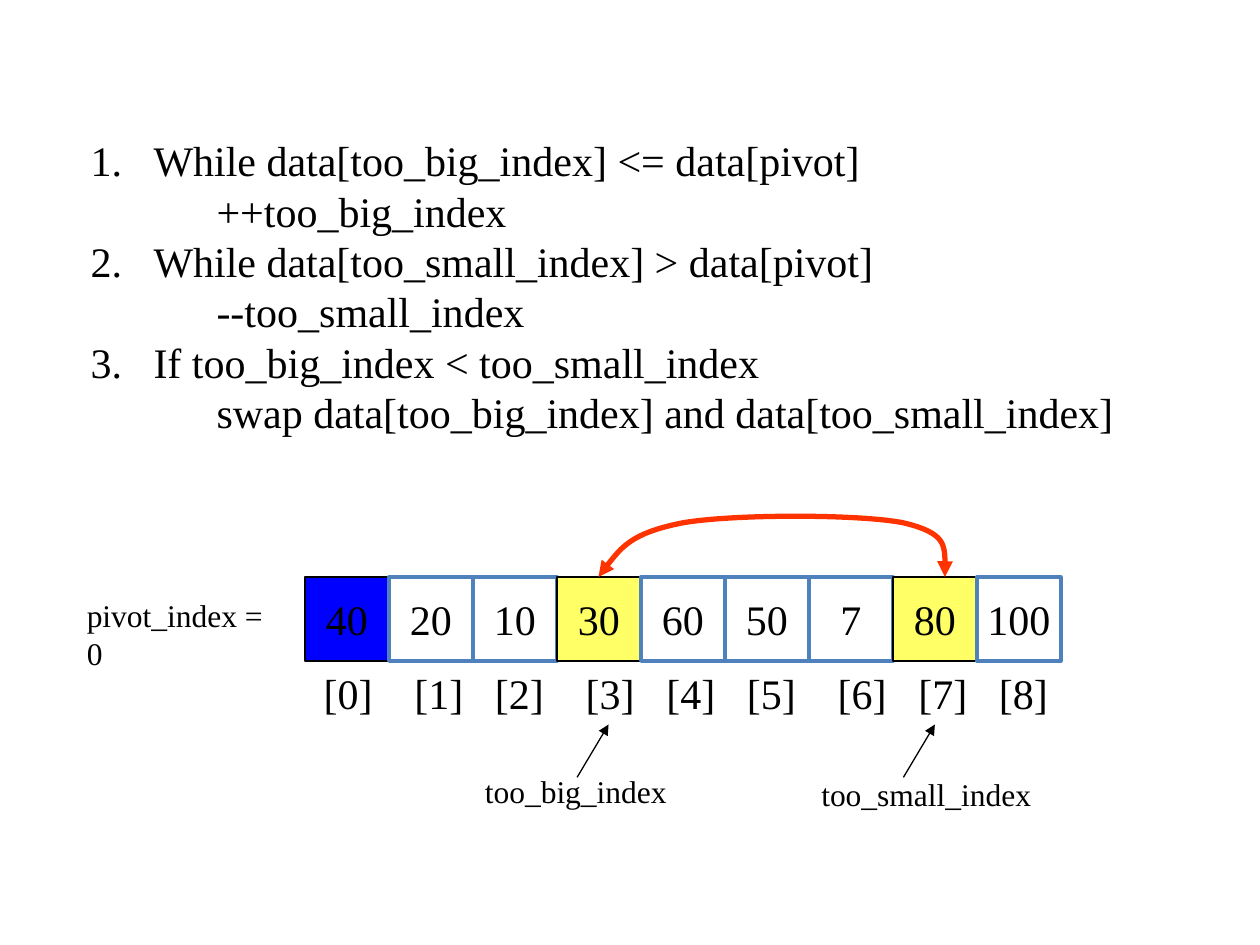
import pptx
import pptx.util
import pptx.dml.color
import pptx.enum.shapes
import pptx.enum.text
import pptx.oxml
import pptx.oxml.ns
from pptx.util import Inches

COLORS = {"ink": "000000", "pivot": "0000FF", "swapped": "FFFF66",
          "plain": "FFFFFF", "edge": "4F81BD", "swap": "FF3300"}
rgb = pptx.dml.color.RGBColor.from_string
qn = pptx.oxml.ns.qn


def write(para, text, size):
    span = para.add_run()
    span.text = text
    span.font.name = "Times New Roman"
    span.font.size = pptx.util.Pt(size)
    span.font.color.rgb = rgb(COLORS["ink"])


def style_arrow(shape, color, width, ends):
    shape.line.color.rgb = rgb(COLORS[color])
    shape.line.width = pptx.util.Pt(width)
    outline = shape.line._get_or_add_ln()
    for end in ends:
        outline.append(outline.makeelement(qn(end), {"type": "triangle"}))
    if shape._element.spPr.find(qn("a:effectLst")) is None:
        shape._element.spPr.append(pptx.oxml.parse_xml(
            f'<a:effectLst {pptx.oxml.ns.nsdecls("a")}/>'))


deck = pptx.Presentation()
deck.slide_width, deck.slide_height = Inches(10), Inches(7.5)
page = deck.slides.add_slide(deck.slide_layouts[6])

# Array cells
values = [40, 20, 10, 30, 60, 50, 7, 80, 100]
fills = {0: "pivot", 3: "swapped", 7: "swapped"}
side = 2 / 3
for index, value in enumerate(values):
    cell = page.shapes.add_shape(
        pptx.enum.shapes.MSO_SHAPE.RECTANGLE, Inches(2.42 + index * side),
        Inches(4.58), Inches(side), Inches(side))
    cell.shadow.inherit = False
    cell.fill.solid()
    cell.fill.fore_color.rgb = rgb(COLORS[fills.get(index, "plain")])
    marked = index in fills
    cell.line.color.rgb = rgb(COLORS["ink" if marked else "edge"])
    cell.line.width = pptx.util.Pt(0.75 if marked else 2)
    cell.text_frame.word_wrap = False
    cell.text_frame.vertical_anchor = pptx.enum.text.MSO_ANCHOR.MIDDLE
    para = cell.text_frame.paragraphs[0]
    para.alignment = pptx.enum.text.PP_ALIGN.CENTER
    write(para, str(value), 24)

# Variable labels
labels = [("pivot_index = 0", 0.59, 4.68, 1.78, False),
          ("too_big_index", 3.75, 6.08, 3.17, True),
          ("too_small_index", 6.42, 6.1, 2.33, True)]
for text, left, top, width, wrap in labels:
    box = page.shapes.add_textbox(Inches(left), Inches(top), Inches(width), Inches(0.4))
    box.text_frame.word_wrap = wrap
    write(box.text_frame.paragraphs[0], text, 18)

# Index row, one tab stop per index
box = page.shapes.add_textbox(Inches(2.47), Inches(5.25), Inches(5.95), Inches(0.5))
box.text_frame.word_wrap = True
para = box.text_frame.paragraphs[0]
properties = para._p.get_or_add_pPr()
tabs = properties.makeelement(qn("a:tabLst"), {})
properties.append(tabs)
for stop in [0.72, 1.36, 2.08, 2.72, 3.36, 4.08, 4.72, 5.36]:
    tabs.append(tabs.makeelement(qn("a:tab"), {"pos": str(Inches(stop)), "algn": "l"}))
write(para, "\t".join(f"[{index}]" for index in range(len(values))), 24)

# Pointers from the labels to the indexes
for left in (7.17, 4.58):
    pointer = page.shapes.add_connector(
        pptx.enum.shapes.MSO_CONNECTOR.STRAIGHT,
        Inches(left), Inches(6.17), Inches(left + 0.25), Inches(5.75))
    style_arrow(pointer, "ink", 0.75, ["a:tailEnd"])

# Numbered steps, each with its action on the next line
steps = [("While data[too_big_index] <= data[pivot]", "++too_big_index"),
         ("While data[too_small_index] > data[pivot]", "--too_small_index"),
         ("If too_big_index < too_small_index",
          "swap data[too_big_index] and data[too_small_index]")]
box = page.shapes.add_textbox(Inches(0.62), Inches(1.02), Inches(9.32), Inches(3.7))
frame = box.text_frame
frame.word_wrap = True
for number, step in enumerate(steps):
    for level, text in enumerate(step):
        first = number == 0 and level == 0
        para = frame.paragraphs[0] if first else frame.add_paragraph()
        para.level = level
        properties = para._p.get_or_add_pPr()
        properties.set("marL", str(Inches(0.5 + 0.5 * level)))
        properties.set("indent", str(Inches(0 if level else -0.5)))
        if level == 0:
            properties.append(properties.makeelement(
                qn("a:buAutoNum"), {"type": "arabicPeriod"}))
        write(para, text, 24)

# Swap arrow: every three points after the start make one Bezier curve
points = [(4.88, 4.4), (5.01, 4.23), (5.42, 4.15),
          (5.82, 4.08), (6.82, 4.08), (7.17, 4.15),
          (7.51, 4.23), (7.51, 4.4), (7.5, 4.58)]
builder = page.shapes.build_freeform(Inches(4.75), Inches(4.58))
builder.add_line_segments([(Inches(x), Inches(y)) for x, y in points], close=False)
swap = builder.convert_to_shape()
swap.shadow.inherit = False
swap.fill.background()
segments = list(swap._element.iter(qn("a:lnTo")))
for start in range(0, len(segments), 3):
    curve = segments[start].makeelement(qn("a:cubicBezTo"), {})
    segments[start].addprevious(curve)
    for segment in segments[start:start + 3]:
        curve.append(segment[0])
        segment.getparent().remove(segment)
style_arrow(swap, "swap", 3, ["a:headEnd", "a:tailEnd"])

deck.save("out.pptx")
